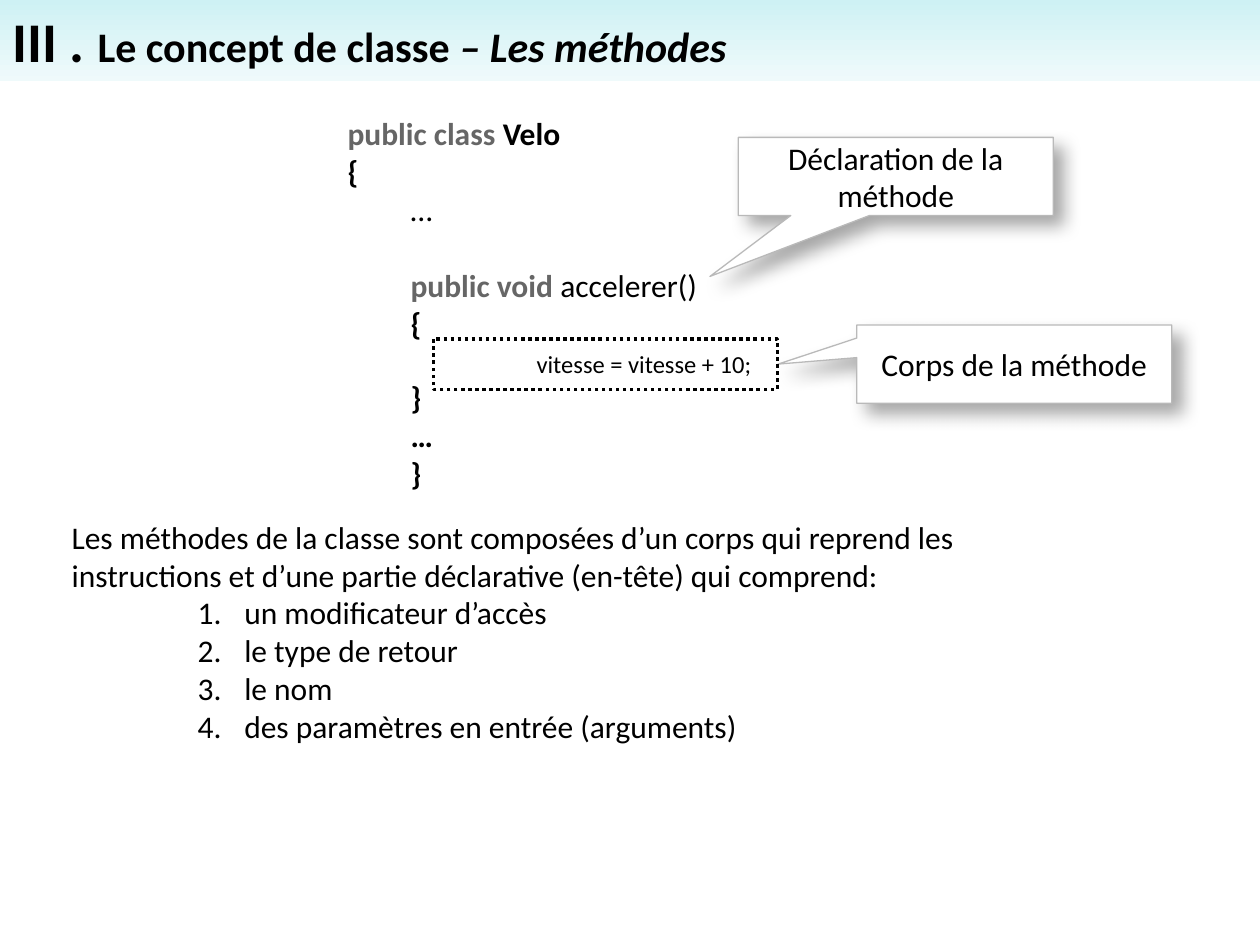
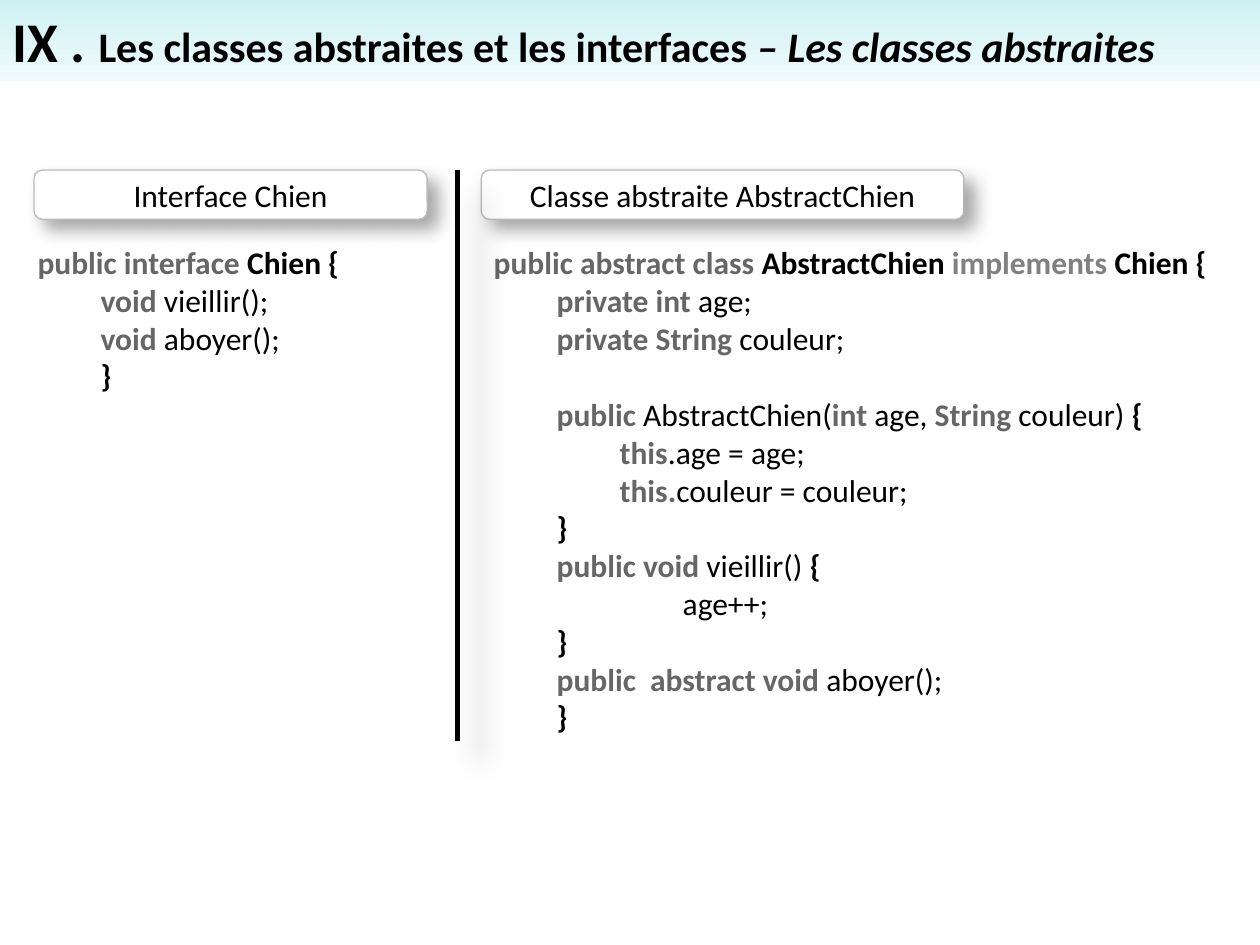
import lxml.etree
import pptx
import pptx.dml.color
import pptx.enum.dml
import pptx.enum.shapes
import pptx.enum.text
import pptx.oxml.ns
import pptx.util

RGB = pptx.dml.color.RGBColor.from_string
Pt = pptx.util.Pt
SHAPE = pptx.enum.shapes.MSO_SHAPE
qn = pptx.oxml.ns.qn

THEME = {
    "font": "Calibri", "ink": RGB("000000"), "paper": RGB("FFFFFF"), "edge": RGB("B9B9B9"),
    "band": (RGB("CEF1F4"), RGB("EFFAFB")),
    "number": Pt(32), "title": Pt(24), "body": Pt(18), "small": Pt(14), "blank line": Pt(22),
    # Code styles: colour and bold
    "key": (RGB("666666"), True), "pale": (RGB("808080"), True),
    "strong": (RGB("000000"), True), "plain": (RGB("000000"), False),
}

deck = pptx.Presentation()
deck.slide_width, deck.slide_height = pptx.util.Inches(10), pptx.util.Inches(7.5)
COLUMN, ROW = deck.slide_width / 100, deck.slide_height / 75


def grid(left, top, width, height):
    return [round(n * unit) for n, unit in zip((left, top, width, height), (COLUMN, ROW) * 2)]


def cast_shadow(item, alpha, blur, distance):
    effects = lxml.etree.SubElement(item._element.spPr, qn("a:effectLst"))
    outer = lxml.etree.SubElement(effects, qn("a:outerShdw"), blurRad=str(Pt(blur)),
                                  dist=str(Pt(distance)), dir="2700000", algn="tl", rotWithShape="0")
    black = lxml.etree.SubElement(outer, qn("a:srgbClr"), val="000000")
    lxml.etree.SubElement(black, qn("a:alpha"), val=str(alpha * 1000))


# Each code line: indent in half inches, blank line before it, then (style, text) runs
velo_code = [
    (0, False, ("key", "public class "), ("strong", "Velo")),
    (0, False, ("strong", "{")),
    (1, False, ("plain", "…")),
    (1, True, ("key", "public void "), ("plain", "accelerer()")),
    (1, False, ("strong", "{")),
    (3, False, ("plain", "vitesse = vitesse + 10;")),
    (1, False, ("strong", "}")),
    (1, False, ("strong", "…")),
    (1, False, ("strong", "}")),
]
interface_code = [
    (0, False, ("key", "public interface "), ("strong", "Chien {")),
    (1, False, ("key", "void"), ("plain", " vieillir();")),
    (1, False, ("key", "void"), ("plain", " aboyer();")),
    (1, False, ("strong", "}")),
]
abstract_code = [
    (0, False, ("key", "public abstract class "), ("strong", "AbstractChien "),
     ("pale", "implements "), ("strong", "Chien {")),
    (1, False, ("key", "private int "), ("plain", "age;")),
    (1, False, ("key", "private String "), ("plain", "couleur;")),
    (1, True, ("key", "public "), ("plain", "AbstractChien("), ("key", "int "), ("plain", "age, "),
     ("key", "String"), ("plain", " couleur) "), ("strong", "{")),
    (2, False, ("key", "this"), ("plain", ".age = age;")),
    (2, False, ("key", "this."), ("plain", "couleur = couleur;")),
    (1, False, ("strong", "}")),
    (1, False, ("key", "public void"), ("plain", " vieillir() "), ("strong", "{")),
    (3, False, ("plain", "age++;")),
    (1, False, ("strong", "}")),
    (1, False, ("key", "public  abstract void"), ("plain", " aboyer();")),
    (1, False, ("strong", "}")),
]

CALLOUT, ROUNDED = SHAPE.RECTANGULAR_CALLOUT, SHAPE.ROUNDED_RECTANGLE
pages = [
    {"title": ("III . ", "Le concept de classe ", "– Les méthodes"),
     "code": [((26.6, 8.6, 35.9, 31.3), velo_code)],
     "labels": [(CALLOUT, (58.6, 10.9, 25, 6.2), (-0.59, 1.28), "Déclaration de la méthode"),
                (CALLOUT, (68, 25.8, 25, 6.2), (-0.75, 0), "Corps de la méthode")]},
    {"title": ("IX . ", "Les classes abstraites et les interfaces", " – Les classes abstraites"),
     "code": [((2, 18.8, 35.2, 13.1), interface_code),
              ((38.2, 18.8, 59.5, 40.4), abstract_code)],
     "labels": [(ROUNDED, (2.7, 13.5, 31.2, 3.9), (), "Interface Chien"),
                (ROUNDED, (38.2, 13.5, 38.3, 3.9), (), "Classe abstraite AbstractChien")]},
]

slides = []
for page in pages:
    slide = deck.slides.add_slide(deck.slide_layouts[6])
    slides.append(slide)

    # Title band
    band = slide.shapes.add_shape(SHAPE.RECTANGLE, *grid(0, 0, 100, 6.4))
    band.shadow.inherit = False
    band.line.fill.background()
    band.fill.gradient()
    band.fill.gradient_angle = 270
    for stop, colour in zip(band.fill.gradient_stops, THEME["band"]):
        stop.color.rgb = colour
    band.text_frame.word_wrap = True
    band.text_frame.vertical_anchor = pptx.enum.text.MSO_ANCHOR.TOP
    heading = band.text_frame.paragraphs[0]
    heading.alignment = pptx.enum.text.PP_ALIGN.LEFT
    heading.font.name, heading.font.bold = THEME["font"], True
    heading.font.color.rgb = THEME["ink"]
    for part, size, italic in zip(page["title"], ("number", "title", "title"), (False, False, True)):
        run = heading.add_run()
        run.text = part
        run.font.size, run.font.italic = THEME[size], italic

    # Code listings
    for area, lines in page["code"]:
        listing = slide.shapes.add_textbox(*grid(*area)).text_frame
        listing.word_wrap = True
        for number, (indent, blank_before, *runs) in enumerate(lines):
            line = listing.add_paragraph() if number else listing.paragraphs[0]
            line._p.get_or_add_pPr().set("marL", str(pptx.util.Inches(indent / 2)))
            if blank_before:
                line.space_before = THEME["blank line"]
            line.font.name, line.font.size = THEME["font"], THEME["body"]
            for style, text in runs:
                run = line.add_run()
                run.text = text
                run.font.color.rgb, run.font.bold = THEME[style]
        if lines is velo_code:
            body_line = listing.paragraphs[5]
            body_line.font.size = THEME["small"]
            body_line.space_before = Pt(4)

    # Labels and callouts
    for kind, area, pointer, text in page["labels"]:
        label = slide.shapes.add_shape(kind, *grid(*area))
        for index, value in enumerate(pointer):
            label.adjustments[index] = value
        label.fill.solid()
        label.fill.fore_color.rgb = THEME["paper"]
        label.line.color.rgb, label.line.width = THEME["edge"], Pt(0.75)
        cast_shadow(label, 35, 10.2, 8)
        label.text_frame.word_wrap = True
        label.text_frame.vertical_anchor = pptx.enum.text.MSO_ANCHOR.MIDDLE
        caption = label.text_frame.paragraphs[0]
        caption.text = text
        caption.alignment = pptx.enum.text.PP_ALIGN.CENTER
        caption.font.name, caption.font.size = THEME["font"], THEME["body"]
        caption.font.color.rgb = THEME["ink"]

methods_slide, abstract_slide = slides

# Parts of a method
explanation = methods_slide.shapes.add_textbox(*grid(4.7, 40.6, 74.2, 19.2)).text_frame
explanation.word_wrap = True
explanation.text = "\n".join([
    "Les méthodes de la classe sont composées d’un corps qui reprend les instructions "
    "et d’une partie déclarative (en-tête) qui comprend:",
    "un modificateur d’accès", "le type de retour", "le nom", "des paramètres en entrée (arguments)",
])
for number, sentence in enumerate(explanation.paragraphs):
    if number:
        properties = sentence._p.get_or_add_pPr()
        properties.set("marL", str(pptx.util.Inches(1.37)))
        properties.set("indent", str(pptx.util.Inches(-0.37)))
        lxml.etree.SubElement(properties, qn("a:buAutoNum"), type="arabicPeriod")
    sentence.font.name, sentence.font.size = THEME["font"], THEME["body"]
    sentence.font.color.rgb = THEME["ink"]

# Dotted frame around the method body
body_frame = methods_slide.shapes.add_shape(SHAPE.RECTANGLE, *grid(34.4, 26.9, 27.3, 4))
body_frame.shadow.inherit = False
body_frame.fill.background()
body_frame.line.color.rgb, body_frame.line.width = THEME["ink"], Pt(2)
body_frame.line.dash_style = pptx.enum.dml.MSO_LINE.ROUND_DOT

# Divider between interface and abstract class
divider = abstract_slide.shapes.add_connector(
    pptx.enum.shapes.MSO_CONNECTOR.STRAIGHT, *grid(36.3, 13.5, 36.3, 58.8))
divider.line.color.rgb, divider.line.width = THEME["ink"], Pt(3)
cast_shadow(divider, 26, 15, 18)

deck.save("out.pptx")
